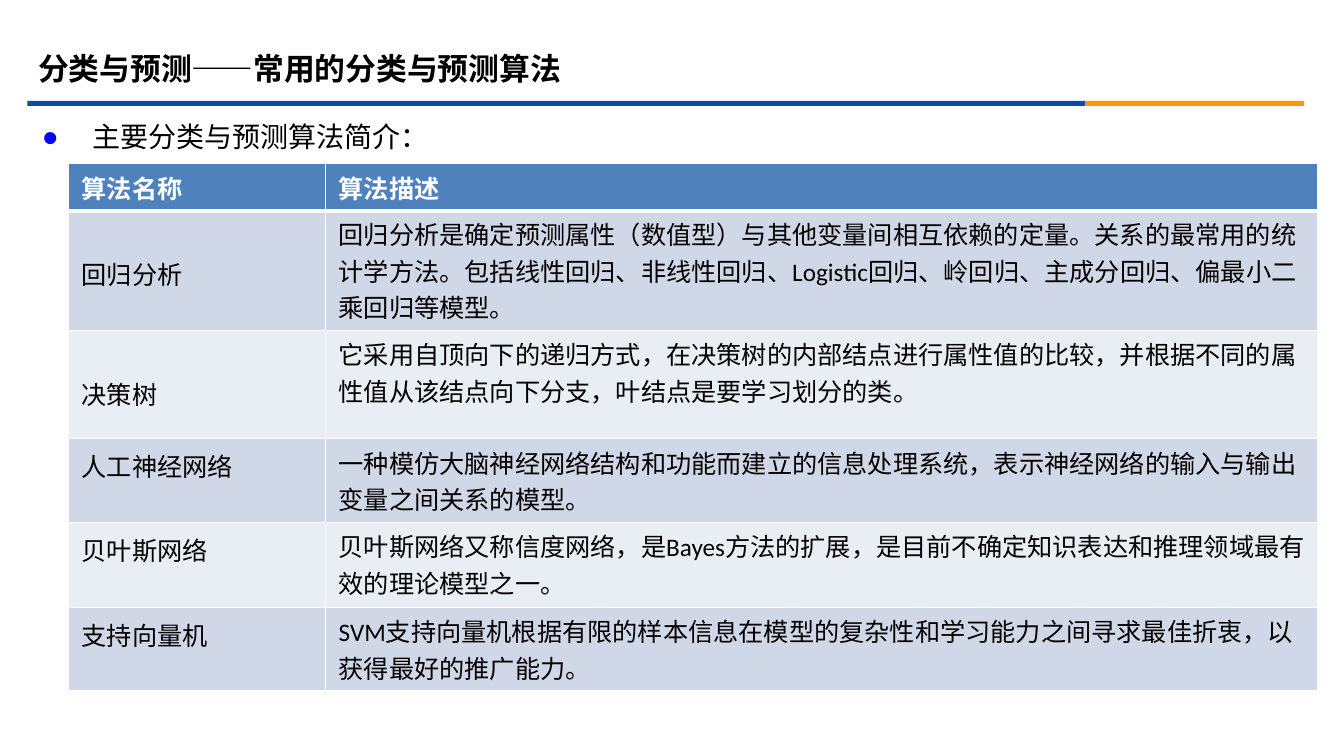
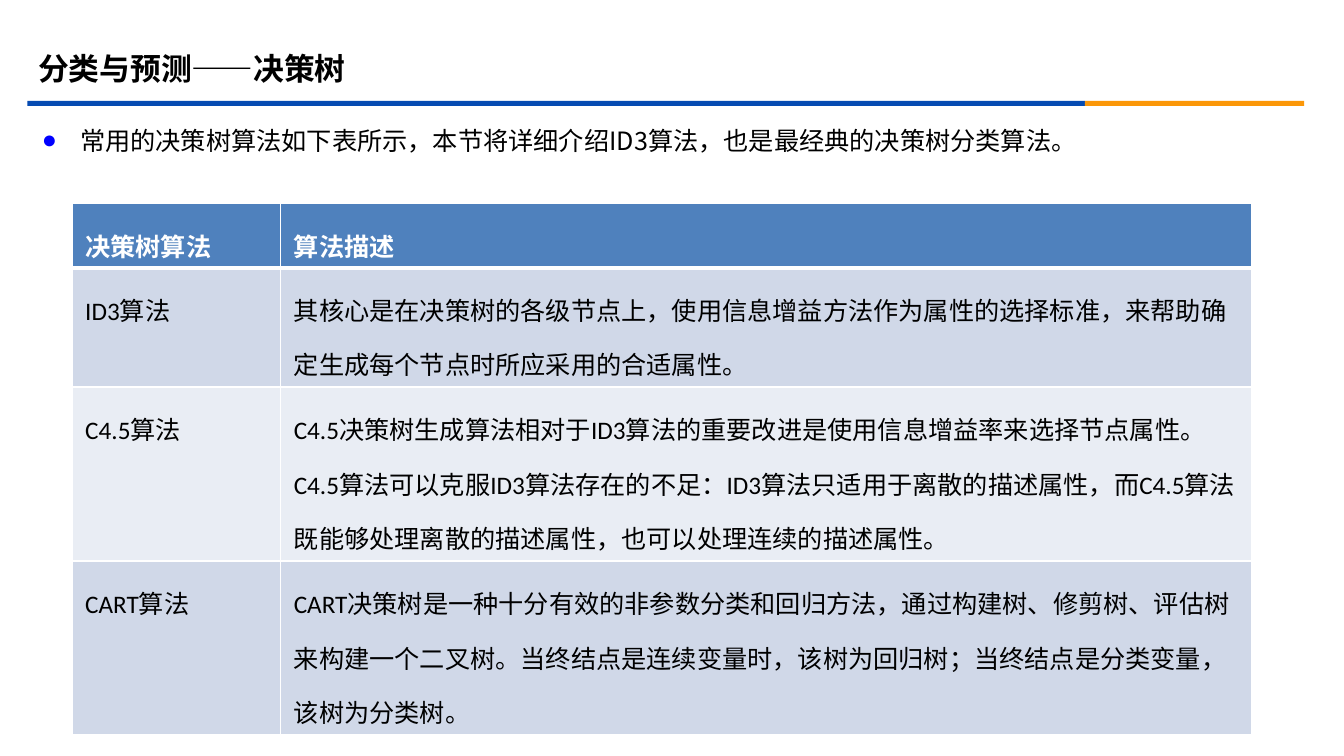
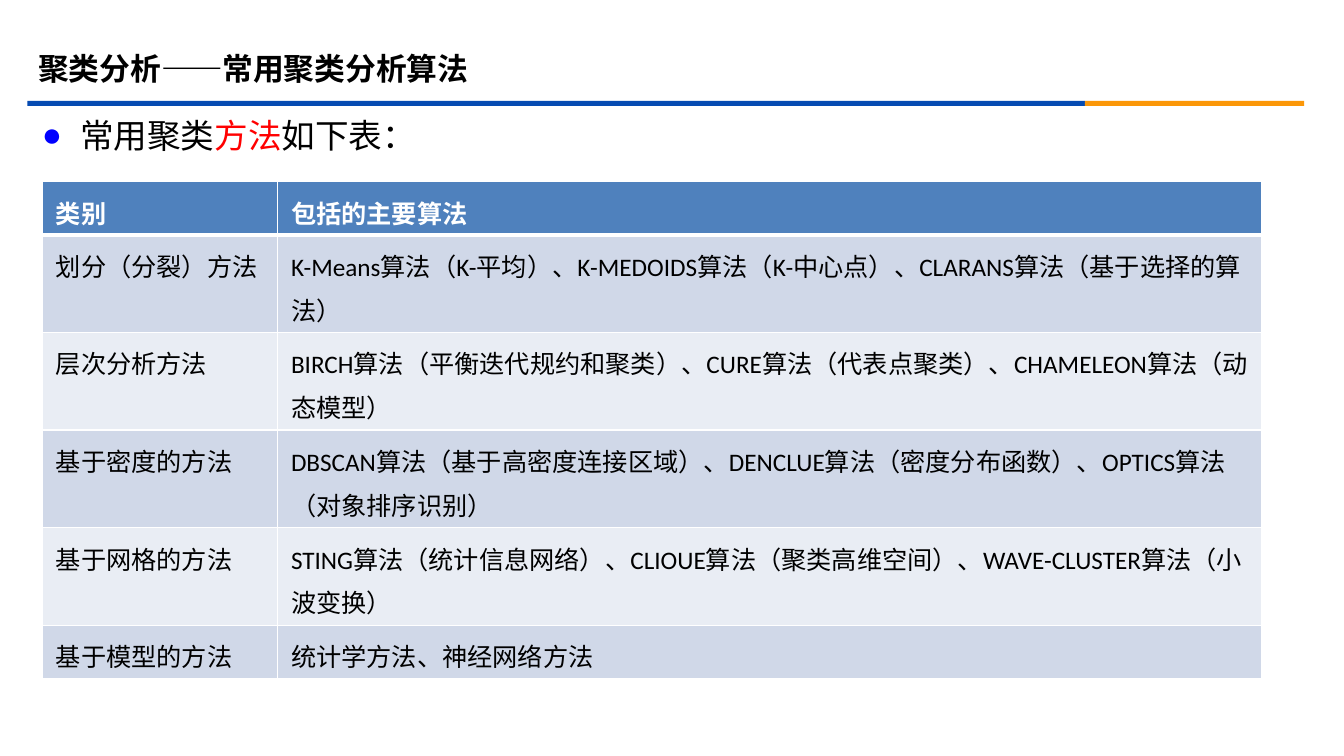
from pptx import Presentation
from pptx.dml.color import RGBColor as RGB
from pptx.enum.shapes import MSO_SHAPE as Kind
from pptx.enum.text import MSO_ANCHOR as Anchor, MSO_AUTO_SIZE as Auto, PP_ALIGN as Align
from pptx.oxml.ns import qn
from pptx.util import Pt
from lxml.etree import SubElement as Sub

BLUE, GOLD, HEAD = "064BB2", "FB9708", "4F81BD"
BANDS = ("E9EDF4", "D0D8E8")
BLACK, WHITE, RED, DOT = "000000", "FFFFFF", "FF0000", "0000FF"
SANS, LATIN, TABLE = "Noto Sans CJK SC", "Arial", "Calibri"


def color(code):
    return RGB.from_string(code)


def place(shape, box):
    shape.left, shape.top, shape.width, shape.height = map(Pt, box)


def style(font, size, name, code, bold=False):
    font.size, font.name, font.bold = Pt(size), name, bold
    font.color.rgb = color(code)


def clear(frame, side=0, edge=0):
    frame.margin_left = frame.margin_right = Pt(side)
    frame.margin_top = frame.margin_bottom = Pt(edge)


# Two-colour rule under the title, kept on the layout
def add_rule(slide, layout, box):
    left, top, width, height = box
    split = 755.5
    for code, x, w in ((BLUE, left, split), (GOLD, left + split, width - split)):
        bar = slide.shapes.add_shape(Kind.RECTANGLE, Pt(x), Pt(top), Pt(w), Pt(height))
        bar.shadow.inherit = False
        bar.fill.solid()
        bar.fill.fore_color.rgb = color(code)
        bar.line.fill.background()
        layout.shapes._spTree.append(bar._element)


# Title: lead and rest, each with its own font
def set_title(slide, parts, box=(20, 28, 864, 42)):
    title = slide.shapes.title
    place(title, box)
    frame = title.text_frame
    frame.vertical_anchor = Anchor.MIDDLE
    frame.word_wrap = True
    para = frame.paragraphs[0]
    para.alignment = Align.LEFT
    for text, name in parts:
        run = para.add_run()
        run.text = text
        style(run.font, 22, name, BLACK, True)


# Bulleted line above the table
def set_lead(slide, parts, box, size, indent):
    body = slide.placeholders[1]
    place(body, box)
    frame = body.text_frame
    clear(frame)
    frame.word_wrap = True
    frame.auto_size = Auto.SHAPE_TO_FIT_TEXT
    para = frame.paragraphs[0]
    para.line_spacing, para.space_before = 1.5, Pt(0)
    props = para._p.get_or_add_pPr()
    props.set("marL", str(Pt(indent)))
    props.set("indent", str(-Pt(indent)))
    Sub(Sub(props, qn("a:buClr")), qn("a:srgbClr"), val=DOT)
    Sub(props, qn("a:buFont"), typeface=LATIN)
    Sub(props, qn("a:buChar"), char="●")
    style(para.font, size, SANS, BLACK)
    for text, code in parts:
        run = para.add_run()
        run.text = text
        if code != BLACK:
            run.font.color.rgb = color(code)


def set_edges(cell, row):
    props = cell._tc.get_or_add_tcPr()
    widths = {"L": 1, "R": 1, "T": 3 if row == 1 else 1, "B": 3 if row == 0 else 1}
    for side, width in widths.items():
        line = Sub(props, qn("a:ln" + side), w=str(Pt(width)))
        Sub(Sub(line, qn("a:solidFill")), qn("a:srgbClr"), val=WHITE)


# Table: head row, then banded rows; drops lowers the first cell of a row
def add_grid(slide, spot, cols, heights, rows, spacing, drops=()):
    box = (*spot, sum(cols), sum(heights))
    grid = slide.shapes.add_table(len(rows), len(cols), *map(Pt, box)).table
    grid.horz_banding = False
    for col, width in zip(grid.columns, cols):
        col.width = Pt(width)
    for r, (texts, height) in enumerate(zip(rows, heights)):
        grid.rows[r].height = Pt(height)
        for c, text in enumerate(texts):
            cell = grid.cell(r, c)
            set_edges(cell, r)
            cell.fill.solid()
            cell.fill.fore_color.rgb = color(BANDS[r % 2] if r else HEAD)
            clear(cell, 9.4, 3.6)
            if c == 0 and r in drops:
                cell.margin_top = Pt(29.5)
            para = cell.text_frame.paragraphs[0]
            para.line_spacing = spacing[c] if r else spacing[1]
            style(para.font, 18, TABLE, BLACK if r else WHITE, r == 0)
            para.add_run().text = text


METHODS = [
    ("算法名称", "算法描述"),
    ("回归分析", "回归分析是确定预测属性（数值型）与其他变量间相互依赖的定量。关系的最常用的统计学方法。"
     "包括线性回归、非线性回归、Logistic回归、岭回归、主成分回归、偏最小二乘回归等模型。"),
    ("决策树", "它采用自顶向下的递归方式，在决策树的内部结点进行属性值的比较，"
     "并根据不同的属性值从该结点向下分支，叶结点是要学习划分的类。"),
    ("人工神经网络", "一种模仿大脑神经网络结构和功能而建立的信息处理系统，"
     "表示神经网络的输入与输出变量之间关系的模型。"),
    ("贝叶斯网络", "贝叶斯网络又称信度网络，是Bayes方法的扩展，"
     "是目前不确定知识表达和推理领域最有效的理论模型之一。"),
    ("支持向量机", "SVM支持向量机根据有限的样本信息在模型的复杂性和学习能力之间寻求最佳折衷，"
     "以获得最好的推广能力。"),
]
TREES = [
    ("决策树算法", "算法描述"),
    ("ID3算法", "其核心是在决策树的各级节点上，使用信息增益方法作为属性的选择标准，"
     "来帮助确定生成每个节点时所应采用的合适属性。"),
    ("C4.5算法", "C4.5决策树生成算法相对于ID3算法的重要改进是使用信息增益率来选择节点属性。"
     "C4.5算法可以克服ID3算法存在的不足：ID3算法只适用于离散的描述属性，"
     "而C4.5算法既能够处理离散的描述属性，也可以处理连续的描述属性。"),
    ("CART算法", "CART决策树是一种十分有效的非参数分类和回归方法，"
     "通过构建树、修剪树、评估树来构建一个二叉树。"
     "当终结点是连续变量时，该树为回归树；当终结点是分类变量，该树为分类树。"),
]
GROUPS = [
    ("类别", "包括的主要算法"),
    ("划分（分裂）方法", "K-Means算法（K-平均）、K-MEDOIDS算法（K-中心点）、CLARANS算法（基于选择的算法）"),
    ("层次分析方法", "BIRCH算法（平衡迭代规约和聚类）、CURE算法（代表点聚类）、CHAMELEON算法（动态模型）"),
    ("基于密度的方法", "DBSCAN算法（基于高密度连接区域）、DENCLUE算法（密度分布函数）、OPTICS算法（对象排序识别）"),
    ("基于网格的方法", "STING算法（统计信息网络）、CLIOUE算法（聚类高维空间）、WAVE-CLUSTER算法（小波变换）"),
    ("基于模型的方法", "统计学方法、神经网络方法"),
]

# Per slide: title, lead line and table
PAGES = [
    dict(title=[("分类与预测", LATIN), ("——常用的分类与预测算法", SANS)],
         lead=dict(parts=[("主要分类与预测算法简介：", BLACK)],
                   box=(30, 73.5, 885, 55), size=20, indent=36),
         grid=dict(spot=(49, 117), cols=(183.5, 709), rows=METHODS,
                   heights=(33.5, 85.5, 77.5, 59.75, 60.75, 59.25),
                   spacing=(1.1, 1.0), drops=(1, 2))),
    dict(title=[("分类与预测", LATIN), ("——决策树", SANS)],
         lead=dict(parts=[("常用的决策树算法如下表所示，本节将详细介绍ID3算法，"
                           "也是最经典的决策树分类算法。", BLACK)],
                   box=(30, 78.5, 885, 32.5), size=18, indent=27.25),
         grid=dict(spot=(51.5, 145.5), cols=(149, 693.5), rows=TREES,
                   heights=(45.75, 85.25, 124.25, 124.25), spacing=(1.5, 1.5))),
    dict(title=[("聚类分析——常用聚类分析算法", SANS)],
         lead=dict(parts=[("常用聚类", BLACK), ("方法", RED), ("如下表：", BLACK)],
                   box=(30, 67.5, 885, 62), size=24, indent=27.25),
         grid=dict(spot=(30.5, 129.75), cols=(168, 703), rows=GROUPS,
                   heights=(38, *[69.75] * 4, 38), spacing=(1.2, 1.2))),
]


def main():
    deck = Presentation()
    deck.slide_width, deck.slide_height = Pt(960), Pt(540)
    layout = deck.slide_layouts[1]
    for n, page in enumerate(PAGES):
        slide = deck.slides.add_slide(layout)
        if n == 0:
            add_rule(slide, layout, (19.5, 72, 912, 3.75))
        set_title(slide, page["title"])
        set_lead(slide, **page["lead"])
        add_grid(slide, **page["grid"])
    deck.save("out.pptx")


if __name__ == "__main__":
    main()
